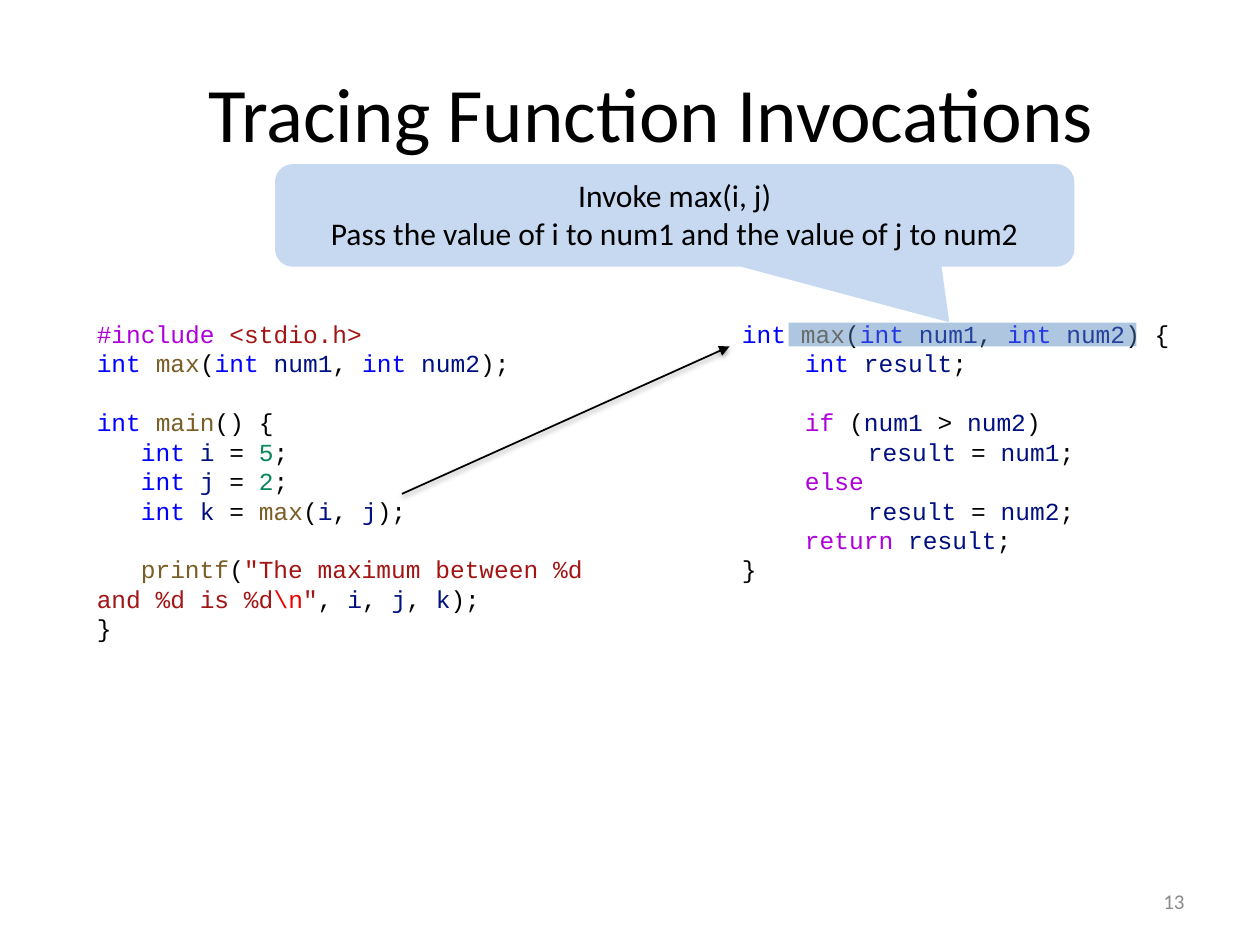
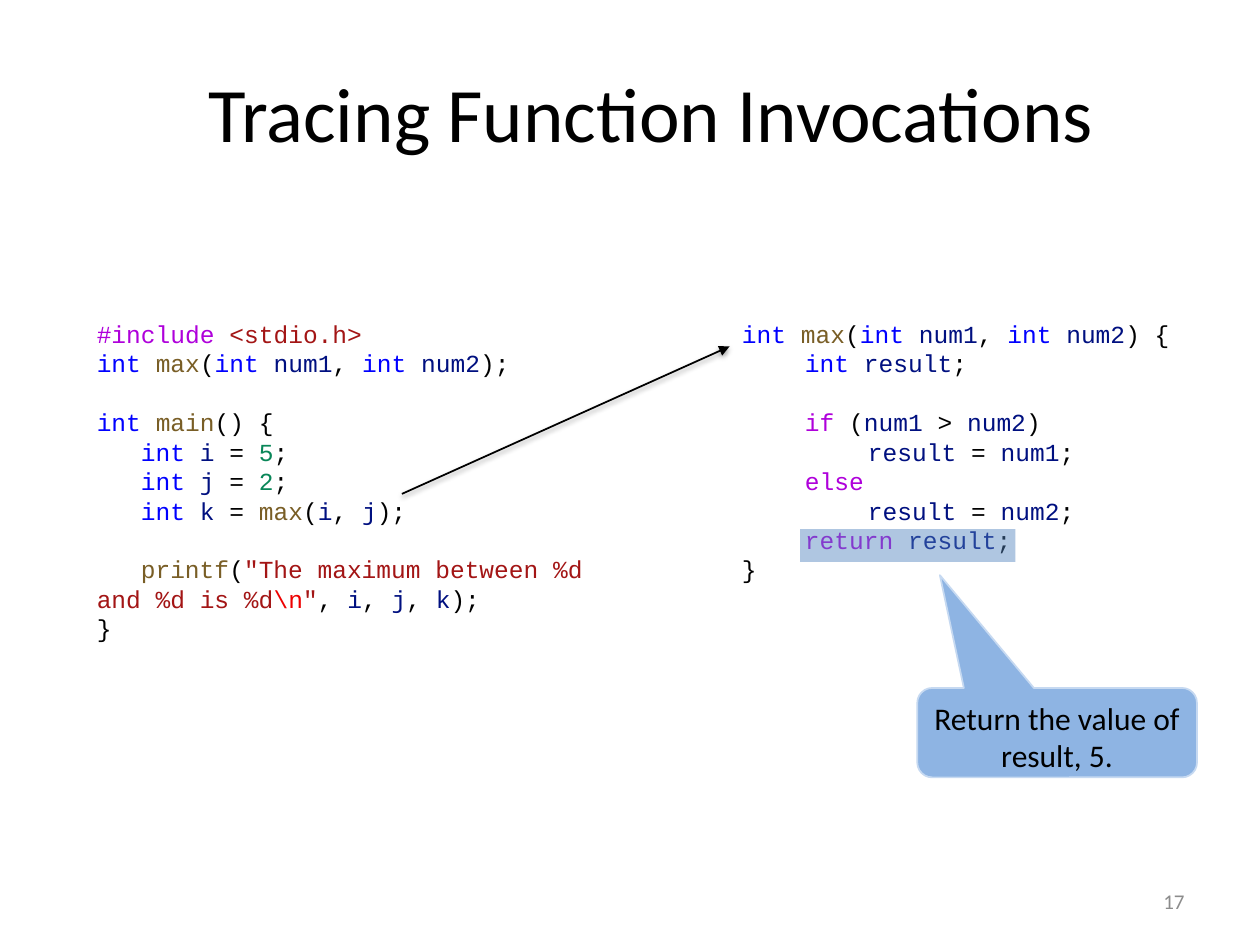
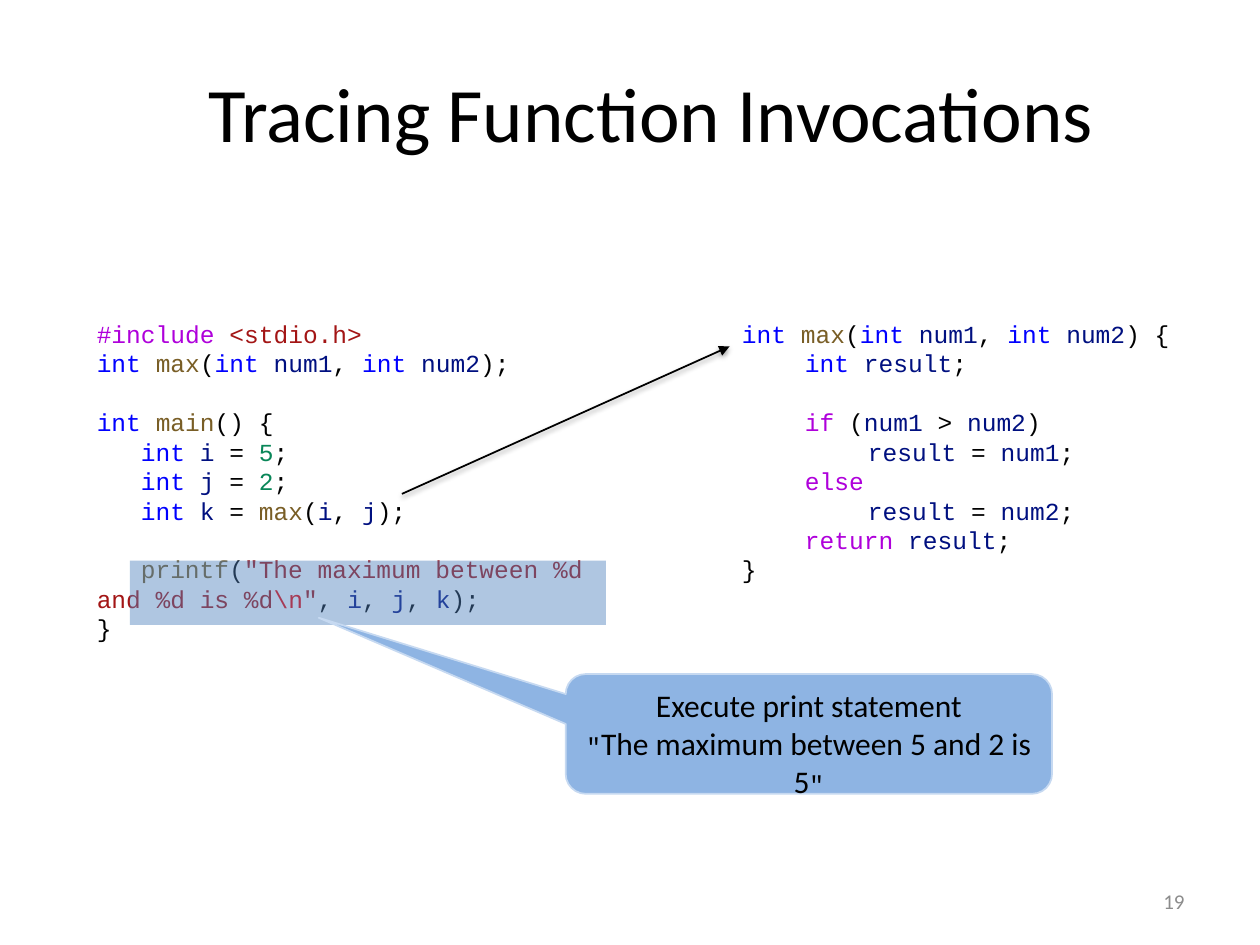
from lxml import etree
from pptx import Presentation
from pptx.dml.color import RGBColor
from pptx.enum.shapes import MSO_CONNECTOR, MSO_SHAPE
from pptx.enum.text import MSO_ANCHOR, MSO_AUTO_SIZE, PP_ALIGN
from pptx.oxml.ns import qn
from pptx.util import Inches, Pt

RECT = MSO_SHAPE.RECTANGLE
BUBBLE = MSO_SHAPE.ROUNDED_RECTANGULAR_CALLOUT
STRAIGHT = MSO_CONNECTOR.STRAIGHT
TOP, MIDDLE = MSO_ANCHOR.TOP, MSO_ANCHOR.MIDDLE
CENTER, RIGHT = PP_ALIGN.CENTER, PP_ALIGN.RIGHT
GROW = MSO_AUTO_SIZE.SHAPE_TO_FIT_TEXT

SANS, MONO = "Calibri", "Courier New"
LINE = Pt(16.85)

BLACK = RGBColor(0x00, 0x00, 0x00)
GRAY = RGBColor(0x8C, 0x8C, 0x8C)
PALE = RGBColor(0xC6, 0xD9, 0xF1)
SKY = RGBColor(0x8E, 0xB4, 0xE3)
STEEL = RGBColor(0x4F, 0x81, 0xBD)
PURPLE = RGBColor(0xAF, 0x00, 0xDB)
BLUE = RGBColor(0x00, 0x00, 0xFF)
BROWN = RGBColor(0x79, 0x5E, 0x26)
NAVY = RGBColor(0x00, 0x10, 0x80)
GREEN = RGBColor(0x09, 0x86, 0x58)
MAROON = RGBColor(0xA3, 0x15, 0x15)
RED = RGBColor(0xEE, 0x00, 0x00)

GROUPS = [
    (PURPLE, ["#include", "if", "else", "return"]),
    (BLUE, ["int"]),
    (BROWN, ["max", "main", "printf"]),
    (NAVY, ["num1", "num2", "result", "i", "j", "k"]),
    (GREEN, ["5", "2"]),
    (MAROON, ["<stdio.h>", '"The maximum between %d and %d is %d', '"']),
    (RED, ["\\n"]),
]
HUES = {word: hue for hue, words in GROUPS for word in words}

# Each code line: indent level, blank lines above, tokens split by "|".
CALLER = [
    (0, 0, "#include |<stdio.h>"),
    (0, 0, "int |max|(|int |num1|, |int |num2|);"),
    (0, 1, "int |main|() {"),
    (1, 0, "int |i| = |5|;"),
    (1, 0, "int |j| = |2|;"),
    (1, 0, "int |k| = |max|(|i|, |j|);"),
    (1, 1, 'printf|(|"The maximum between %d and %d is %d|\\n|"|, |i|, |j|, |k|);'),
    (0, 0, "}"),
]
CALLEE = [
    (0, 0, "int |max|(|int |num1|, |int |num2|) {"),
    (1, 0, "int |result|;"),
    (1, 1, "if| (|num1| > |num2|)"),
    (2, 0, "result| = |num1|;"),
    (1, 0, "else"),
    (2, 0, "result| = |num2|;"),
    (1, 0, "return |result|;"),
    (0, 0, "}"),
]


def style(font, size, color=BLACK, name=SANS):
    """Set the size, colour and typeface of a font."""
    font.size, font.name = Pt(size), name
    font.color.rgb = color


def add_box(slide, box):
    """Add a wrapping text box and return it."""
    shape = slide.shapes.add_textbox(*map(Inches, box))
    shape.text_frame.word_wrap = True
    return shape


def add_label(slide, box, text, size, align, color=BLACK, anchor=TOP):
    """Add one line of plain text."""
    frame = add_box(slide, box).text_frame
    frame.vertical_anchor = anchor
    para = frame.paragraphs[0]
    para.text, para.alignment = text, align
    style(para.font, size, color)


def add_code(slide, box, lines, step):
    """Add a code listing with coloured tokens."""
    frame = add_box(slide, box).text_frame
    frame.auto_size = GROW
    for n, (level, blanks, text) in enumerate(lines):
        para = frame.add_paragraph() if n else frame.paragraphs[0]
        style(para.font, 14, name=MONO)
        para.line_spacing = LINE
        para.space_before = blanks * LINE
        para._p.get_or_add_pPr().set("indent", str(Inches(level * step)))
        for token in text.split("|"):
            run = para.add_run()
            run.text = token
            run.font.color.rgb = HUES.get(token.strip(), BLACK)


def add_arrow(slide, start, end):
    """Add a black arrow with a soft shadow."""
    line = slide.shapes.add_connector(STRAIGHT, *map(Inches, start + end))
    line.line.color.rgb, line.line.width = BLACK, Pt(1)
    etree.SubElement(line.line._get_or_add_ln(), qn("a:tailEnd"), type="triangle")
    effects = etree.SubElement(line._element.spPr, qn("a:effectLst"))
    shade = etree.SubElement(effects, qn("a:outerShdw"), blurRad=str(Pt(3.1)),
                             dist=str(Pt(1.6)), dir="5400000", rotWithShape="0")
    color = etree.SubElement(shade, qn("a:srgbClr"), val=str(BLACK))
    etree.SubElement(color, qn("a:alpha"), val="38000")


def add_shape(slide, kind, box, fill):
    """Add a filled shape without shadow."""
    shape = slide.shapes.add_shape(kind, *map(Inches, box))
    shape.shadow.inherit = False
    shape.fill.solid()
    shape.fill.fore_color.rgb = fill
    return shape


def add_marker(slide, box):
    """Add a translucent highlight over code."""
    shape = add_shape(slide, RECT, box, STEEL)
    shape.line.fill.background()
    color = shape._element.spPr.find(qn("a:solidFill"))[0]
    etree.SubElement(color, qn("a:alpha"), val="45000")


def add_callout(slide, box, tip, lines, fill=SKY):
    """Add a speech bubble whose quote marks are set in the code font."""
    shape = add_shape(slide, BUBBLE, box, fill)
    shape.line.color.rgb, shape.line.width = PALE, Pt(1)
    for n, value in enumerate(tip + (0.167,)):
        shape.adjustments[n] = value
    frame = shape.text_frame
    frame.word_wrap, frame.vertical_anchor = True, TOP
    for n, text in enumerate(lines):
        para = frame.add_paragraph() if n else frame.paragraphs[0]
        para.alignment = CENTER
        style(para.font, 18)
        if text.startswith('"'):
            for part in ('"', text.strip('"'), '"'):
                run = para.add_run()
                run.text = part
                if part == '"':
                    style(run.font, 14, name=MONO)
        else:
            para.text = text


def add_base(deck, number):
    """Add a slide with the title, page number and both listings."""
    slide = deck.slides.add_slide(deck.slide_layouts[6])
    add_label(slide, (7.17, 6.95, 2.33, 0.4), str(number), 12, RIGHT, GRAY, MIDDLE)
    add_label(slide, (0.67, 0.47, 9, 1.25), "Tracing Function Invocations", 44, CENTER)
    add_code(slide, (0.67, 2.48, 4.14, 2.69), CALLER, 0.35)
    add_code(slide, (5.79, 2.48, 3.71, 2.21), CALLEE, 0.5)
    add_arrow(slide, (3.19, 3.92), (5.79, 2.75))
    return slide


def main():
    """Build the three tracing steps."""
    deck = Presentation()
    deck.slide_width, deck.slide_height = Inches(10), Inches(7.5)

    slide = add_base(deck, 13)
    add_callout(slide, (2.19, 1.31, 6.33, 0.8), (0.343, 1.049),
                ["Invoke max(i, j)",
                 "Pass the value of i to num1 and the value of j to num2"], PALE)
    add_marker(slide, (6.26, 2.56, 2.76, 0.19))

    slide = add_base(deck, 17)
    add_marker(slide, (6.35, 4.2, 1.71, 0.26))
    add_callout(slide, (7.28, 5.46, 2.22, 0.71), (-0.419, -1.761),
                ["Return the value of result, 5."])

    slide = add_base(deck, 19)
    add_marker(slide, (1.03, 4.45, 3.78, 0.51))
    add_callout(slide, (4.49, 5.35, 3.86, 0.95), (-1.008, -0.971),
                ["Execute print statement", '"The maximum between 5 and 2 is 5"'])

    deck.save("out.pptx")


if __name__ == "__main__":
    main()
